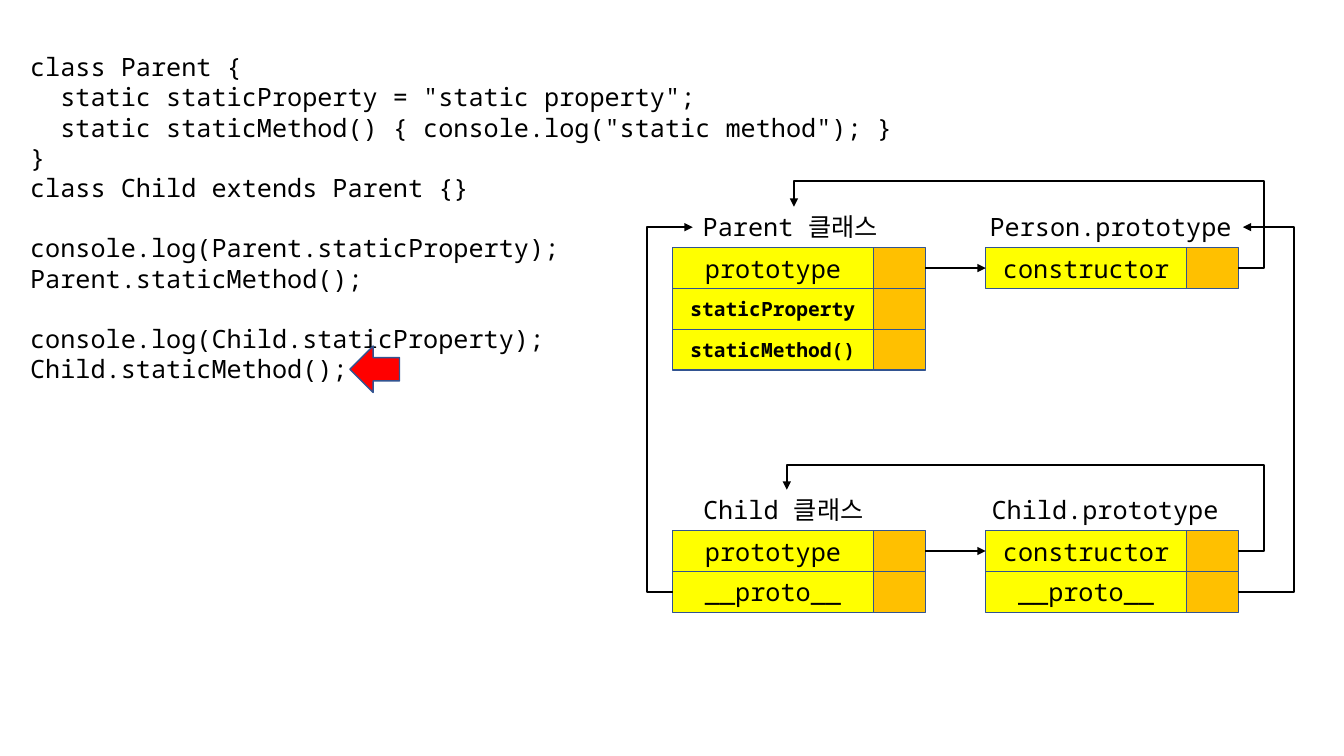
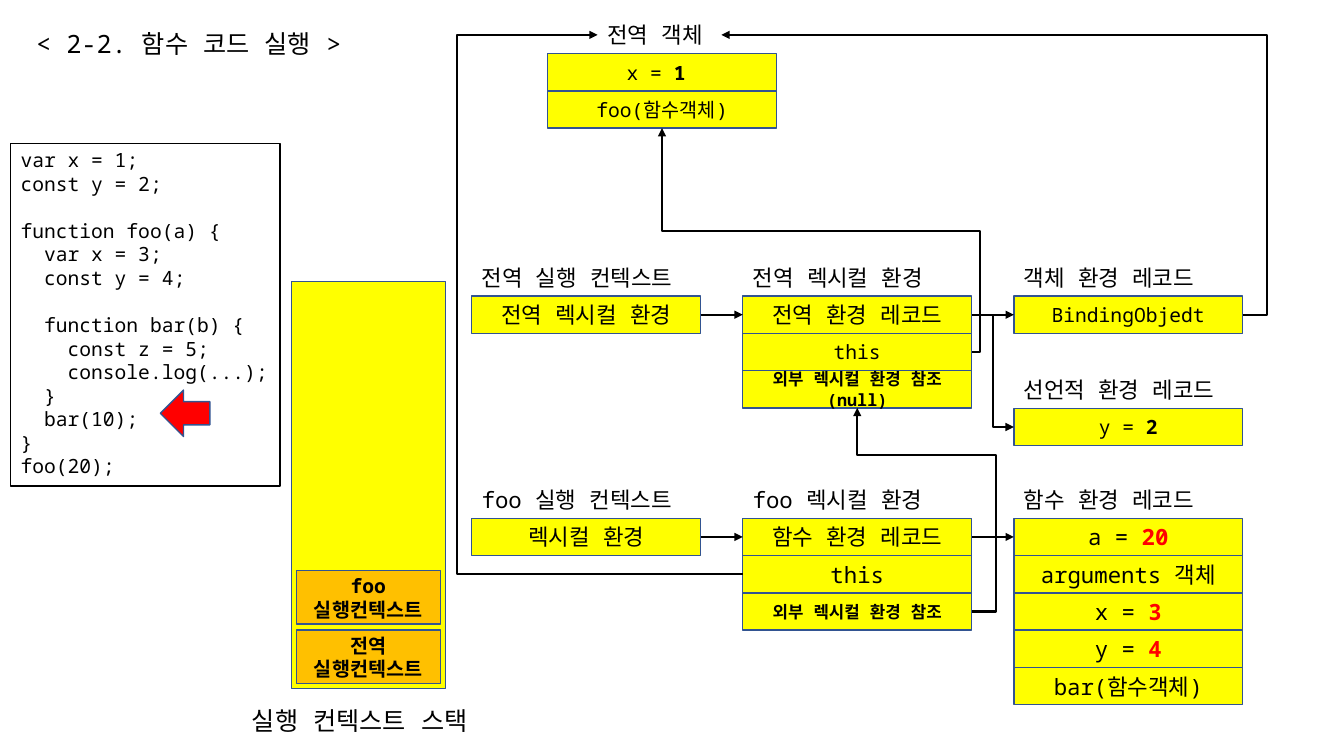
from lxml.etree import SubElement
from pptx import Presentation
from pptx.dml.color import RGBColor
from pptx.enum.shapes import MSO_CONNECTOR as Wire, MSO_SHAPE as Preset
from pptx.enum.text import MSO_ANCHOR as Anchor, MSO_AUTO_SIZE as AutoSize, PP_ALIGN as Align
from pptx.oxml.ns import qn
from pptx.util import Cm, Pt

FONT = "Noto Sans Mono"
BLACK, WHITE, RED = "000000", "FFFFFF", "FF0000"
YELLOW, ORANGE, BORDER = "FFFF00", "FFC000", "325491"
TOP, LEFT, BOTTOM, RIGHT = range(4)
LABEL = "label"

CLASS_CODE = """class Parent {
  static staticProperty = "static property";
  static staticMethod() { console.log("static method"); }
}
class Child extends Parent {}

console.log(Parent.staticProperty);
Parent.staticMethod();

console.log(Child.staticProperty);
Child.staticMethod();"""

FUNCTION_CODE = """var x = 1;
const y = 2;

function foo(a) {
  var x = 3;
  const y = 4;

  function bar(b) {
    const z = 5;
    console.log(...);
  }
  bar(10);
}
foo(20);"""


def plain(text, size, bold=False):
    return size, [(text, bold, BLACK)]


def assign(name, value, size, color=BLACK):
    return size, [(f"{name} = ", False, BLACK), (value, True, color)]


CLASS_LAYOUT = dict(widths=(5.06, 1.31), height=1.03, label_size=18)
CLASS_TABLES = [
    ("parent", "Parent 클래스", 17.46, 5.1, 16.95, 6.24,
     [plain("prototype", 18), plain("staticProperty", 14, True), plain("staticMethod()", 14, True)]),
    ("person_proto", "Person.prototype", 24.69, 6.63, 24.84, 6.24, [plain("constructor", 18)]),
    ("child", "Child 클래스", 17.47, 4.72, 16.95, 13.37,
     [plain("prototype", 18), plain("__proto__", 18)]),
    ("child_proto", "Child.prototype", 24.74, 6.25, 24.84, 13.37,
     [plain("constructor", 18), plain("__proto__", 18)]),
]
CLASS_LINKS = [
    ("parent", 0, RIGHT, "person_proto", 0, LEFT),
    ("child", 0, RIGHT, "child_proto", 0, LEFT),
    ("person_proto", 0, RIGHT, "parent", LABEL, TOP, 31.86, 4.57),
    ("child_proto", 0, RIGHT, "child", LABEL, TOP, 31.86, 11.71),
    ("child_proto", 1, RIGHT, "person_proto", LABEL, RIGHT, 32.61),
    ("child", 1, LEFT, "parent", LABEL, LEFT, 16.3),
]

COLUMNS = [11.89 + 6.83 * column for column in range(3)]
CONTEXT_LAYOUT = dict(widths=(5.77,), height=0.94, label_size=16)
CONTEXT_TABLES = [
    ("global_object", "전역 객체", 15.06, 3.12, 13.8, 1.35,
     [assign("x", "1 ", 14), plain("foo(함수객체)", 14)]),
    ("global_context", "전역 실행 컨텍스트", COLUMNS[0], 5.77, COLUMNS[0], 7.46,
     [plain("전역 렉시컬 환경", 16)]),
    ("global_env", "전역 렉시컬 환경", COLUMNS[1], 5.18, COLUMNS[1], 7.46,
     [plain("전역 환경 레코드", 16), plain("this", 14), plain("외부 렉시컬 환경 참조(null)", 12, True)]),
    ("object_record", "객체 환경 레코드", COLUMNS[2], 5.18, COLUMNS[2], 7.46,
     [plain("BindingObjedt", 14)]),
    ("declared_record", "선언적 환경 레코드", COLUMNS[2], 5.77, COLUMNS[2], 10.29,
     [assign("y", "2", 14)]),
    ("foo_context", "foo 실행 컨텍스트", COLUMNS[0], 5.64, COLUMNS[0], 13.06,
     [plain("렉시컬 환경", 16)]),
    ("foo_env", "foo 렉시컬 환경", COLUMNS[1], 5.08, COLUMNS[1], 13.06,
     [plain("함수 환경 레코드", 16), plain("this", 16), plain("외부 렉시컬 환경 참조", 12, True)]),
    ("function_record", "함수 환경 레코드", COLUMNS[2], 5.18, COLUMNS[2], 13.06,
     [assign("a", "20", 16, RED), plain("arguments 객체", 16), assign("x", "3", 16, RED),
      assign("y", "4", 16, RED), plain("bar(함수객체)", 16)]),
]
CONTEXT_LINKS = [
    ("global_context", 0, RIGHT, "global_env", 0, LEFT),
    ("global_env", 0, RIGHT, "object_record", 0, LEFT),
    ("foo_context", 0, RIGHT, "foo_env", 0, LEFT),
    ("foo_env", 0, RIGHT, "function_record", 0, LEFT),
    ("object_record", 0, RIGHT, "global_object", LABEL, RIGHT, 31.93),
    ("global_env", 0, RIGHT, "declared_record", 0, LEFT, 25.02),
    ("global_env", 1, RIGHT, "global_object", 1, BOTTOM, 24.69, 5.82),
    ("foo_env", 1, LEFT, "global_object", LABEL, LEFT, 11.51),
    ("foo_env", 2, RIGHT, "global_env", 2, BOTTOM, 25.1, 11.46),
]
STACK_CONTEXTS = ["foo", "전역"]


def rgb(color):
    return RGBColor.from_string(color)


def add_span(para, text, size, bold=False, color=BLACK):
    span = para.add_run()
    span.text = text
    span.font.size = Pt(size)
    span.font.bold = bold
    span.font.color.rgb = rgb(color)
    span.font.name = FONT
    SubElement(span.font._element, qn("a:ea")).set("typeface", FONT)


def write(box, paragraphs, align=Align.CENTER):
    frame = box.text_frame
    frame.word_wrap = align == Align.CENTER
    frame.vertical_anchor = Anchor.MIDDLE if frame.word_wrap else Anchor.TOP
    if not frame.word_wrap:
        frame.auto_size = AutoSize.SHAPE_TO_FIT_TEXT
    for index, (size, spans) in enumerate(paragraphs):
        para = frame.add_paragraph() if index else frame.paragraphs[0]
        para.alignment = align
        for text, bold, color in spans:
            add_span(para, text, size, bold, color)


def add_box(page, left, top, width, height, fill, line=BORDER, preset=Preset.RECTANGLE):
    box = page.shapes.add_shape(preset, Cm(left), Cm(top), Cm(width), Cm(height))
    box.shadow.inherit = False
    box.fill.solid()
    box.fill.fore_color.rgb = rgb(fill)
    box.line.color.rgb = rgb(line)
    box.line.width = Pt(1)
    return box


def add_label(page, text, left, top, width, height, size):
    box = page.shapes.add_textbox(Cm(left), Cm(top), Cm(width), Cm(height))
    write(box, [plain(text, size)], Align.LEFT)
    return box


def write_code(box, code, size):
    lines = code.split("\n")
    write(box, [plain(line, size) for line in lines if line], Align.LEFT)
    gaps = [index for index, line in enumerate(lines) if not line]
    for skipped, index in enumerate(gaps):
        box.text_frame.paragraphs[index - skipped].space_before = Pt(size * 1.2)


def add_pointer(page, left, top):
    add_box(page, left, top, 1.25, 1.17, RED, preset=Preset.LEFT_ARROW)


def add_tables(page, tables, widths, height, label_size):
    parts = {}
    for name, label, label_left, label_width, left, top, rows in tables:
        parts[name, LABEL] = [
            add_label(page, label, label_left, top - height, label_width, height, label_size)]
        for row, content in enumerate(rows):
            cells = [add_box(page, left + sum(widths[:i]), top + row * height, width, height, fill)
                     for i, (width, fill) in enumerate(zip(widths, (YELLOW, ORANGE)))]
            write(cells[0], [content])
            parts[name, row] = cells
    return parts


def bend(link, start_side, via):
    shape_props = link.element.spPr
    start, end = (link.begin_x, link.begin_y), (link.end_x, link.end_y)
    geometry = shape_props.find(qn("a:prstGeom"))
    geometry.set("prst", f"bentConnector{len(via) + 2}")
    guides = geometry.find(qn("a:avLst"))
    if guides is None:
        guides = SubElement(geometry, qn("a:avLst"))
    for index, (turn, first, last) in enumerate(zip(via, start, end), 1):
        ratio = round((Cm(turn) - first) / (last - first) * 100000)
        guide = SubElement(guides, qn("a:gd"))
        guide.set("name", f"adj{index}")
        guide.set("fmla", f"val {ratio}")
    if start_side == LEFT:
        frame = shape_props.find(qn("a:xfrm"))
        frame.set("rot", "10800000")
        for flip in ("flipH", "flipV"):
            frame.set(flip, "0" if frame.get(flip) in ("1", "true") else "1")


def add_links(page, parts, links):
    for source, source_row, source_side, target, target_row, target_side, *via in links:
        kind = Wire.ELBOW if via else Wire.STRAIGHT
        link = page.shapes.add_connector(kind, 0, 0, 0, 0)
        start, end = parts[source, source_row], parts[target, target_row]
        link.begin_connect(start[-1 if source_side == RIGHT else 0], source_side)
        link.end_connect(end[-1 if target_side == RIGHT else 0], target_side)
        link.line.color.rgb = rgb(BLACK)
        link.line.width = Pt(1.5)
        shape_props = link.element.spPr
        SubElement(shape_props.find(qn("a:ln")), qn("a:tailEnd")).set("type", "triangle")
        SubElement(shape_props, qn("a:effectLst"))
        if via:
            bend(link, source_side, via)


def build_class_page(page):
    code = page.shapes.add_textbox(Cm(0.51), Cm(1.17), Cm(22.35), Cm(8.72))
    write_code(code, CLASS_CODE, 18)
    add_pointer(page, 8.82, 8.72)
    add_links(page, add_tables(page, CLASS_TABLES, **CLASS_LAYOUT), CLASS_LINKS)


def build_context_page(page):
    add_label(page, "< 2-2. 함수 코드 실행 >", 0.66, 0.58, 8.59, 1.03, 18)
    code = add_box(page, 0.27, 3.61, 6.79, 8.64, WHITE, BLACK)
    write_code(code, FUNCTION_CODE, 14)
    add_pointer(page, 4.04, 9.83)
    add_box(page, 7.34, 7.09, 3.89, 10.26, YELLOW)
    add_label(page, "실행 컨텍스트 스택", 6.1, 17.65, 6.4, 1.03, 18)
    for index, name in enumerate(STACK_CONTEXTS):
        box = add_box(page, 7.47, 14.38 + 1.5 * index, 3.63, 1.35, ORANGE)
        write(box, [plain(name, 14, True), plain("실행컨텍스트", 14, True)])
    add_links(page, add_tables(page, CONTEXT_TABLES, **CONTEXT_LAYOUT), CONTEXT_LINKS)


def main():
    deck = Presentation()
    deck.slide_width, deck.slide_height = Cm(33.87), Cm(19.05)
    for build in (build_class_page, build_context_page):
        build(deck.slides.add_slide(deck.slide_layouts[6]))
    deck.save("out.pptx")


if __name__ == "__main__":
    main()
